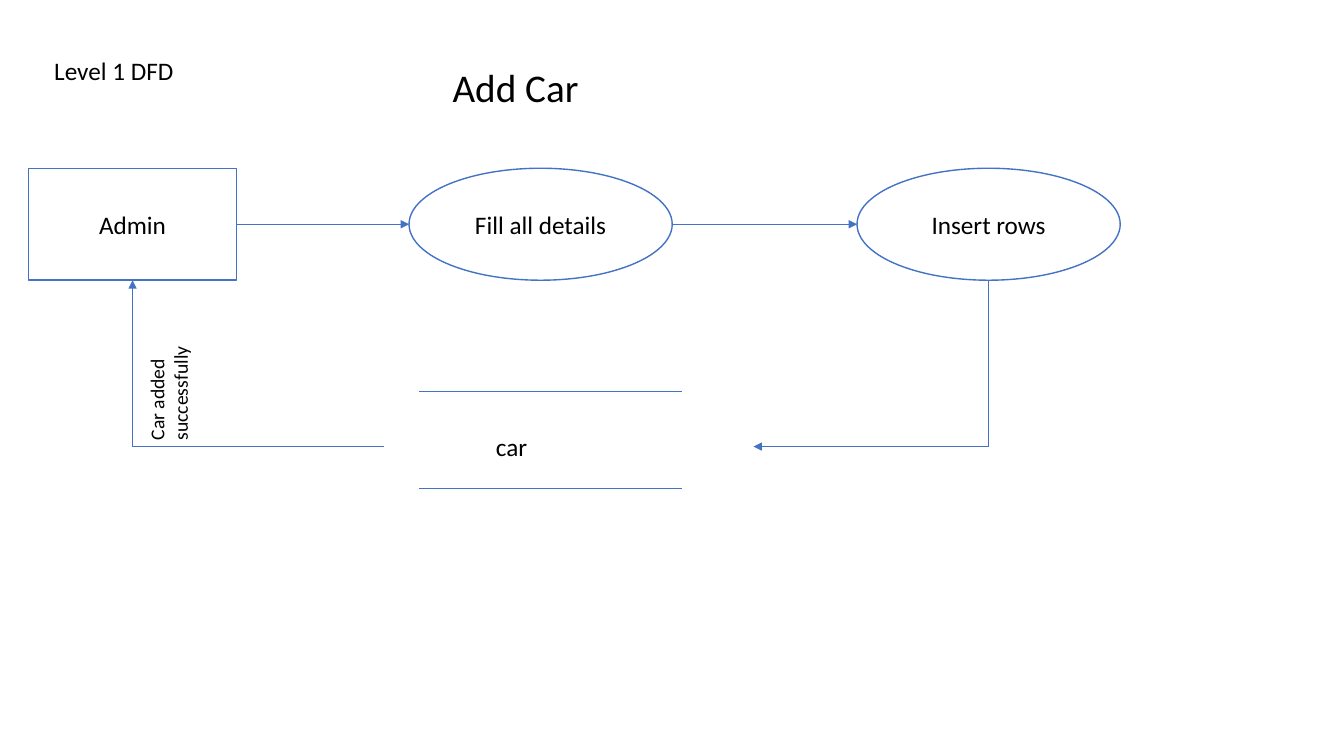
import pptx
import pptx.util
import pptx.dml.color
import pptx.enum.shapes
import pptx.enum.text
import pptx.oxml.ns
import lxml.etree

Pt = pptx.util.Pt
SHAPE = pptx.enum.shapes.MSO_SHAPE
ALIGN = pptx.enum.text.PP_ALIGN
ANCHOR = pptx.enum.text.MSO_ANCHOR
BLUE, BLACK, WHITE = "4472C4", "000000", "FFFFFF"


def color(hex_string):
    return pptx.dml.color.RGBColor.from_string(hex_string)


def place(sp, x, y, w, h):
    sp.left, sp.top, sp.width, sp.height = Pt(x), Pt(y), Pt(w), Pt(h)


def write(sp, text, size, align=ALIGN.LEFT, anchor=ANCHOR.TOP):
    tf = sp.text_frame
    tf.text = text
    tf.word_wrap = True
    tf.vertical_anchor = anchor
    p = tf.paragraphs[0]
    p.alignment = align
    font = p.runs[0].font
    font.name, font.size = "Calibri", Pt(size)
    font.color.rgb = color(BLACK)


def add_label(s, text, x, y, w, h, size=18, rotation=0):
    sp = s.shapes.add_textbox(Pt(x), Pt(y), Pt(w), Pt(h))
    sp.rotation = rotation
    write(sp, text, size)


def add_node(s, kind, text, x, y, w, h):
    sp = s.shapes.add_shape(kind, Pt(x), Pt(y), Pt(w), Pt(h))
    sp.shadow.inherit = False
    sp.fill.solid()
    sp.fill.fore_color.rgb = color(WHITE)
    sp.line.color.rgb = color(BLUE)
    sp.line.width = Pt(1)
    write(sp, text, 18, ALIGN.CENTER, ANCHOR.MIDDLE)


def add_line(s, x1, y1, x2, y2, arrow=False):
    line = s.shapes.add_connector(pptx.enum.shapes.MSO_CONNECTOR.STRAIGHT,
                                  Pt(x1), Pt(y1), Pt(x2), Pt(y2))
    line.line.color.rgb = color(BLUE)
    line.line.width = Pt(0.5)
    qn = pptx.oxml.ns.qn
    if arrow:
        ln = line.line._get_or_add_ln()
        lxml.etree.SubElement(ln, qn("a:tailEnd"), type="triangle")
    lxml.etree.SubElement(line._element.spPr, qn("a:effectLst"))


def add_header(s, x, y):
    add_label(s, "Level 1 DFD", x, y, 108, 29)
    place(s.shapes.title, x + 284.4, y + 5.8, 176.4, 41)
    write(s.shapes.title, "Add Car", 28)


def add_flow(s, x, y, w, h):
    node_h = 80
    admin_w, process_w = 149, 188
    fill_x, insert_x = x + 272, x + w - process_w
    mid, bottom = y + node_h / 2, y + node_h
    store_y = y + h - 30

    # Entity and processes
    add_node(s, SHAPE.RECTANGLE, "Admin", x, y, admin_w, node_h)
    for text, left in (("Fill all details", fill_x), ("Insert rows", insert_x)):
        add_node(s, SHAPE.OVAL, text, left, y, process_w, node_h)
    add_line(s, x + admin_w, mid, fill_x, mid, True)
    add_line(s, fill_x + process_w, mid, insert_x, mid, True)

    # Data store
    store_x = fill_x + 7
    for rule_y in (store_y - 39.5, y + h):
        add_line(s, store_x, rule_y, store_x + process_w, rule_y)
    add_label(s, "car", store_x + 48, store_y - 14.5, 101.5, 29)

    # Path from the last process into the store
    insert_mid = insert_x + process_w / 2
    add_line(s, insert_mid, bottom, insert_mid, store_y)
    add_line(s, insert_mid, store_y, store_x + 239, store_y, True)

    # Path from the store back to the admin
    admin_mid = x + admin_w / 2
    add_line(s, store_x - 25, store_y, admin_mid, store_y)
    add_line(s, admin_mid, store_y, admin_mid, bottom, True)
    add_label(s, "Car added successfully", x + 30.4, y + 111.1, 139.7, 41, 14, 270)


prs = pptx.Presentation()
prs.slide_width, prs.slide_height = Pt(960), Pt(540)
s = prs.slides.add_slide(prs.slide_layouts[5])
add_header(s, 31.7, 36)
add_flow(s, 20.2, 120.2, 780, 228.8)
prs.save("out.pptx")
